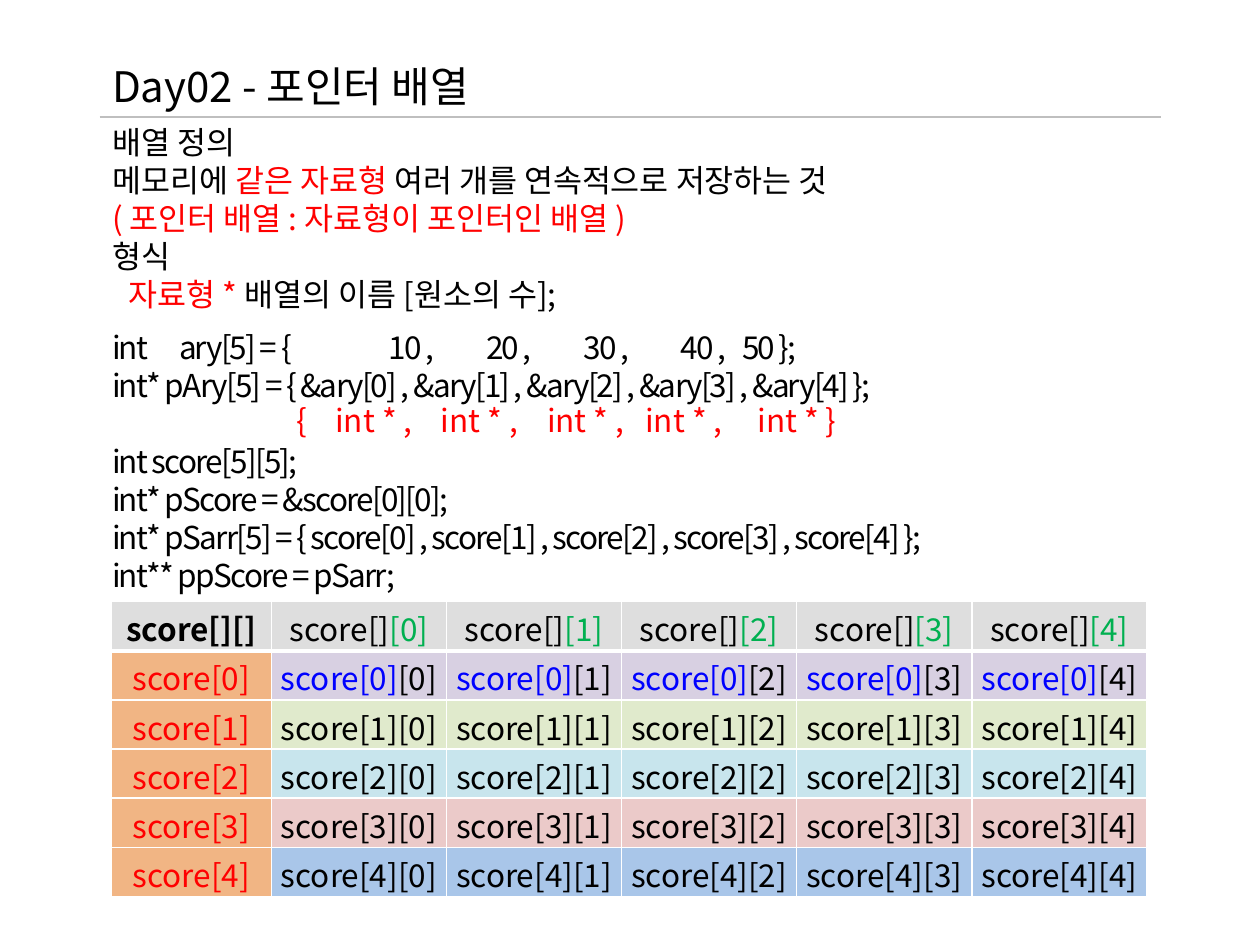
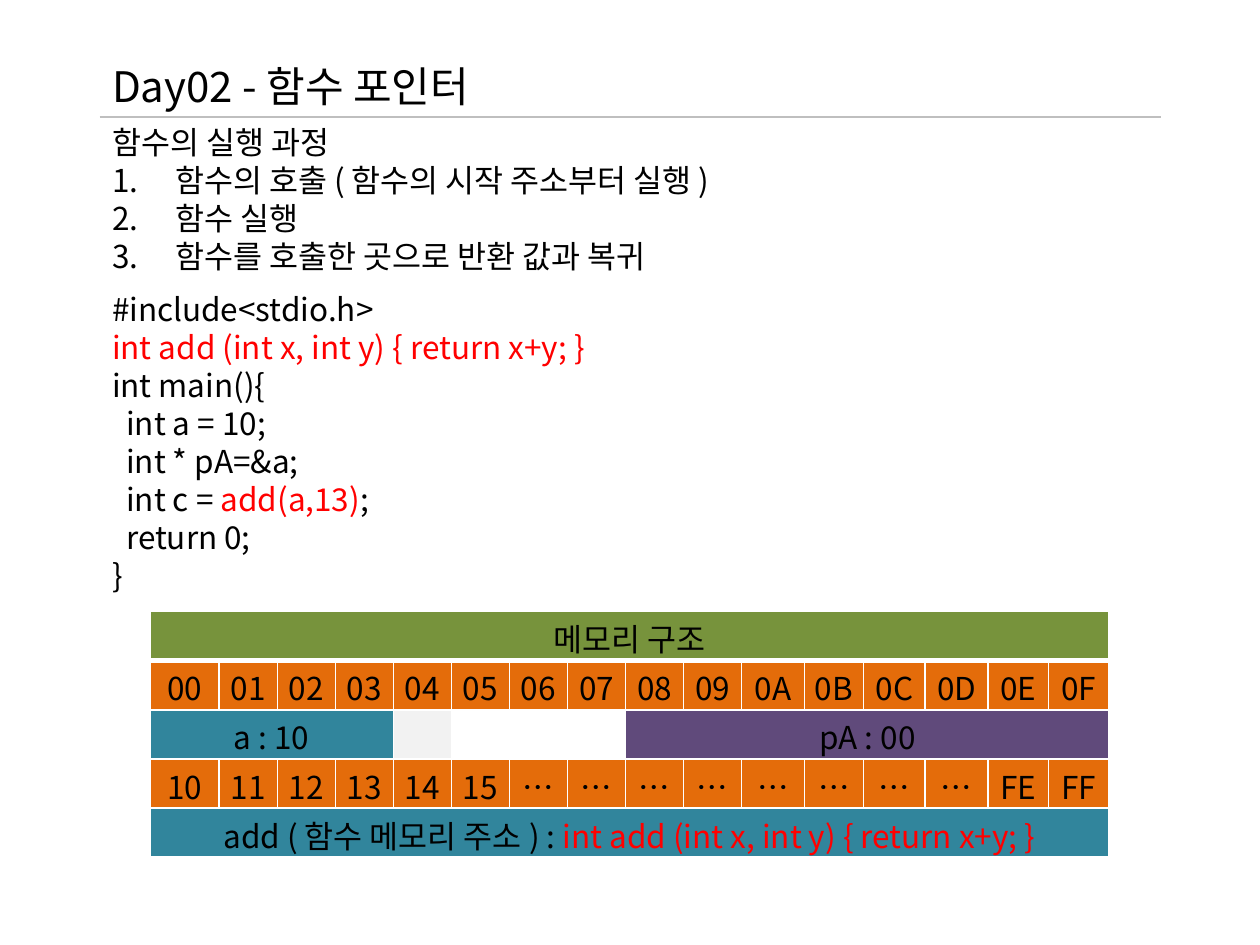
from dataclasses import dataclass
from itertools import accumulate

from lxml.etree import SubElement
from pptx import Presentation
from pptx.dml.color import RGBColor
from pptx.enum.shapes import MSO_CONNECTOR
from pptx.enum.text import MSO_ANCHOR, PP_ALIGN
from pptx.oxml.ns import qn
from pptx.util import Cm, Pt


@dataclass(frozen=True)
class Theme:
    """Colours and type sizes of the deck."""
    font: str = "Noto Sans CJK KR"
    title: int = 24
    body: int = 18
    leading: float = 1.206
    ink: str = "000000"
    red: str = "FF0000"
    green: str = "00B050"
    blue: str = "0000FF"
    rule: str = "BFBFBF"
    white: str = "FFFFFF"
    orange: str = "E46C0A"
    olive: str = "77933C"
    teal: str = "31859C"
    purple: str = "604A7B"
    pale: str = "F2F2F2"
    score_rows: tuple = ("B3A2C7", "C3D69B", "93CDDD", "D99694", "558ED5")


THEME = Theme()


@dataclass
class Box:
    """A rectangle in centimetres."""
    left: float
    top: float
    width: float
    height: float

    def lengths(self):
        """Give the four sides as slide lengths."""
        return [Cm(side) for side in (self.left, self.top, self.width, self.height)]


@dataclass
class Line:
    """A paragraph made of plain strings and (text, colour) pairs."""
    pieces: list
    indent: float = 0
    numbered: bool = False
    tabs: tuple = ()
    before: float = 0


@dataclass
class CellSpec:
    """The content, fill and width in columns of a table cell."""
    pieces: list
    fill: str = ""
    span: int = 1
    bold: bool = False


FRAME = Box(2.01, 1.09, 21.41, 1.27)
BODY_TOP = FRAME.top + FRAME.height
ROW_HEIGHT = 0.99


def add_span(para, text, *, size=THEME.body, color=THEME.ink, bold=False, spacing=0):
    """Add formatted text to a paragraph."""
    span = para.add_run()
    span.text = text
    span.font.size = Pt(size)
    span.font.bold = bold
    span.font.name = THEME.font
    span.font.color.rgb = RGBColor.from_string(color)
    props = span.font._element
    SubElement(props, qn("a:ea"), typeface=THEME.font)
    if spacing:
        props.set("spc", str(spacing * 100))


def fill_para(para, line, *, size=THEME.body, **style):
    """Lay out one paragraph and its spans."""
    props = para._p.get_or_add_pPr()
    para.line_spacing = Pt(round(size * THEME.leading, 1))
    if line.before:
        para.space_before = Pt(line.before)
    if line.indent:
        props.set("marL", str(Cm(line.indent)))
    if line.numbered:
        props.set("indent", str(-Cm(line.indent)))
        SubElement(props, qn("a:buFont"), typeface="+mj-lt")
        SubElement(props, qn("a:buAutoNum"), type="arabicPeriod")
    if line.tabs:
        stops = SubElement(props, qn("a:tabLst"))
        for stop in line.tabs:
            SubElement(stops, qn("a:tab"), pos=str(Cm(stop)), algn="l")
    for piece in line.pieces:
        text, color = (piece, THEME.ink) if isinstance(piece, str) else piece
        add_span(para, text, size=size, color=color, **style)


def add_text(page, box, lines, **style):
    """Place a text box with one paragraph per line."""
    frame = page.shapes.add_textbox(*box.lengths()).text_frame
    frame.word_wrap = True
    for index, line in enumerate(lines):
        para = frame.add_paragraph() if index else frame.paragraphs[0]
        fill_para(para, line, **style)


def add_heading(page, box, topic):
    """Place the title and the rule under it."""
    add_text(page, box, [Line([f"Day02 - {topic}"])], size=THEME.title)
    bottom = Cm(box.top + box.height)
    rule = page.shapes.add_connector(
        MSO_CONNECTOR.STRAIGHT, Cm(box.left), bottom, Cm(box.left + box.width - 0.02), bottom)
    rule.line.color.rgb = RGBColor.from_string(THEME.rule)
    rule.line.width = Pt(0.75)
    SubElement(rule._element.spPr, qn("a:effectLst"))


def style_cell(cell, heading, fill, alpha):
    """Set the margins, white borders and fill of a cell."""
    cell.margin_left = cell.margin_right = Cm(0.1)
    cell.margin_top = cell.margin_bottom = 0
    cell.vertical_anchor = MSO_ANCHOR.BOTTOM
    props = cell._tc.get_or_add_tcPr()
    for side in "LRTB":
        width = 3 if heading and side == "B" else 1
        border = SubElement(props, qn(f"a:ln{side}"), w=str(Pt(width)))
        paint = SubElement(border, qn("a:solidFill"))
        SubElement(paint, qn("a:srgbClr"), val=THEME.white)
    if not fill:
        cell.fill.background()
        return
    cell.fill.solid()
    cell.fill.fore_color.rgb = RGBColor.from_string(fill)
    if alpha < 100:
        color = props.find(qn("a:solidFill"))[0]
        SubElement(color, qn("a:alpha"), val=str(alpha * 1000))


def add_grid(page, left, top, widths, rows, alpha=100):
    """Place a table from rows of cell specs."""
    box = Box(left, top, sum(widths), ROW_HEIGHT * len(rows))
    table = page.shapes.add_table(len(rows), len(widths), *box.lengths()).table
    table.first_row = table.horz_banding = False
    for column, width in zip(table.columns, widths):
        column.width = Cm(width)
    for row_index, specs in enumerate(rows):
        table.rows[row_index].height = Cm(ROW_HEIGHT)
        starts = accumulate((spec.span for spec in specs), initial=0)
        for start, spec in zip(starts, specs):
            end = start + spec.span
            for column in range(start, end):
                style_cell(table.cell(row_index, column), row_index == 0, spec.fill, alpha)
            cell = table.cell(row_index, start)
            if spec.span > 1:
                cell.merge(table.cell(row_index, end - 1))
            para = cell.text_frame.paragraphs[0]
            para.alignment = PP_ALIGN.CENTER
            fill_para(para, Line(spec.pieces), bold=spec.bold)


def add_score_table(page, left, top):
    """Place the table of the two-dimensional score array."""
    indexes = range(5)
    header = [CellSpec(["score[][]"], THEME.rule, bold=True)]
    header += [CellSpec(["score[]", (f"[{column}]", THEME.green)], THEME.rule)
               for column in indexes]
    rows = [header]
    for row, fill in enumerate(THEME.score_rows):
        name = f"score[{row}]"
        color = THEME.ink if row else THEME.blue
        rows.append([CellSpec([(name, THEME.red)], THEME.orange)]
                    + [CellSpec([(name, color), f"[{column}]"], fill) for column in indexes])
    add_grid(page, left, top, [3.23] + [3.53] * 5, rows, alpha=50)


def add_memory_table(page, left, top):
    """Place the table of memory addresses and contents."""
    low = [f"{address:02X}" for address in range(16)]
    high = [str(address) for address in range(10, 16)] + ["…"] * 8 + ["FE", "FF"]
    low_row, high_row = ([CellSpec([address], THEME.orange) for address in row]
                         for row in (low, high))
    variables = [CellSpec(["a : 10"], THEME.teal, 4), CellSpec([], THEME.pale),
                 *[CellSpec([]) for _ in range(3)],
                 CellSpec(["pA : 00"], THEME.purple, 8)]
    function = ["add ( 함수 메모리 주소 ) : ",
                ("int add (int x, int y) { return x+y; }", THEME.red)]
    rows = [[CellSpec(["메모리 구조"], THEME.olive, 16)], low_row, variables, high_row,
            [CellSpec(function, THEME.teal, 16)]]
    widths = [1.4] + [1.17] * 9 + [1.27, 1.19, 1.24, 1.27, 1.22, 1.22]
    add_grid(page, left, top, widths, rows)


def build_pointer_array(page, frame):
    """Build the slide on arrays of pointers."""
    add_heading(page, frame, "포인터 배열")
    add_text(page, Box(frame.left, BODY_TOP, frame.width, 4.11), [
        Line(["배열 정의"]),
        Line(["메모리에 ", ("같은 자료형 ", THEME.red), "여러 개를 연속적으로 저장하는 것"]),
        Line([("( 포인터 배열 : 자료형이 포인터인 배열 )", THEME.red)]),
        Line(["형식"]),
        Line([("자료형 *", THEME.red), " 배열의 이름 [원소의 수];"], indent=0.34),
    ])
    value_tabs = tuple(3.62 + 1.96 * step for step in range(5))
    add_text(page, Box(frame.left, 6.48, frame.width, 5.64), [
        Line(["int\tary[5] = {\t10 ,\t20 ,\t30 ,\t40 ,\t50 };"], tabs=(1.35, *value_tabs)),
        Line(["int* pAry[5] = { &ary[0] , &ary[1] , &ary[2] , &ary[3] , &ary[4] };"]),
        Line(["int score[5][5];"], before=THEME.body * THEME.leading),
        Line(["int* pScore = &score[0][0];"]),
        Line(["int* pSarr[5] = { score[0] , score[1] , score[2] , score[3] , score[4] };"]),
        Line(["int** ppScore = pSarr;"]),
    ], spacing=-1)
    types = "{\t" + " ,\t".join(["int *"] * 5) + " }"
    add_text(page, Box(5.72, 7.95, 13.18, 1.02), [
        Line([(types, THEME.red)], tabs=(0.79, 2.92, 5.06, 7.04, 9.3))])
    add_score_table(page, frame.left + 0.23, 12.13)


def build_function_pointer(page, frame):
    """Build the slide on function pointers."""
    add_heading(page, frame, "함수 포인터")
    steps = ["함수의 호출 ( 함수의 시작 주소부터 실행 )", "함수 실행",
             "함수를 호출한 곳으로 반환 값과 복귀"]
    add_text(page, Box(frame.left, BODY_TOP, frame.width, 3.33),
             [Line(["함수의 실행 과정"])]
             + [Line([step], indent=1.27, numbered=True) for step in steps])
    add_text(page, Box(frame.left, 5.72, frame.width, 6.4), [
        Line(["#include<stdio.h>"]),
        Line([("int add (int x, int y) { return x+y; }", THEME.red)]),
        Line(["int main(){"]),
        Line(["  int a = 10;"]),
        Line(["  int * pA=&a;"]),
        Line(["  int c = ", ("add(a,13)", THEME.red), ";"]),
        Line(["  return 0;"]),
        Line(["}"]),
    ])
    add_memory_table(page, frame.left + 1.01, 12.33)


def main():
    """Build and save the deck."""
    deck = Presentation()
    deck.slide_width, deck.slide_height = Cm(25.4), Cm(19.05)
    for build in (build_pointer_array, build_function_pointer):
        build(deck.slides.add_slide(deck.slide_layouts[6]), FRAME)
    deck.save("out.pptx")


if __name__ == "__main__":
    main()
